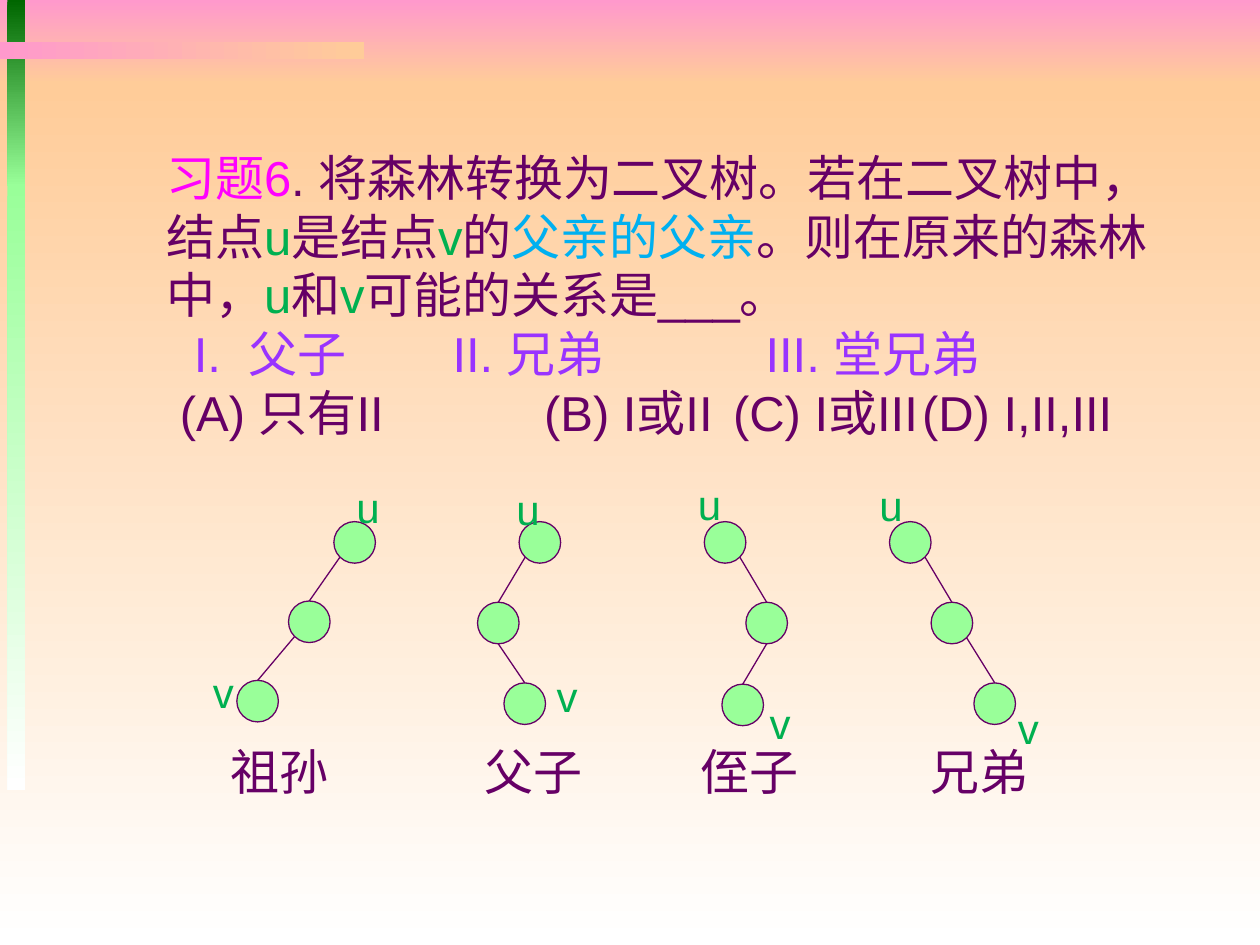
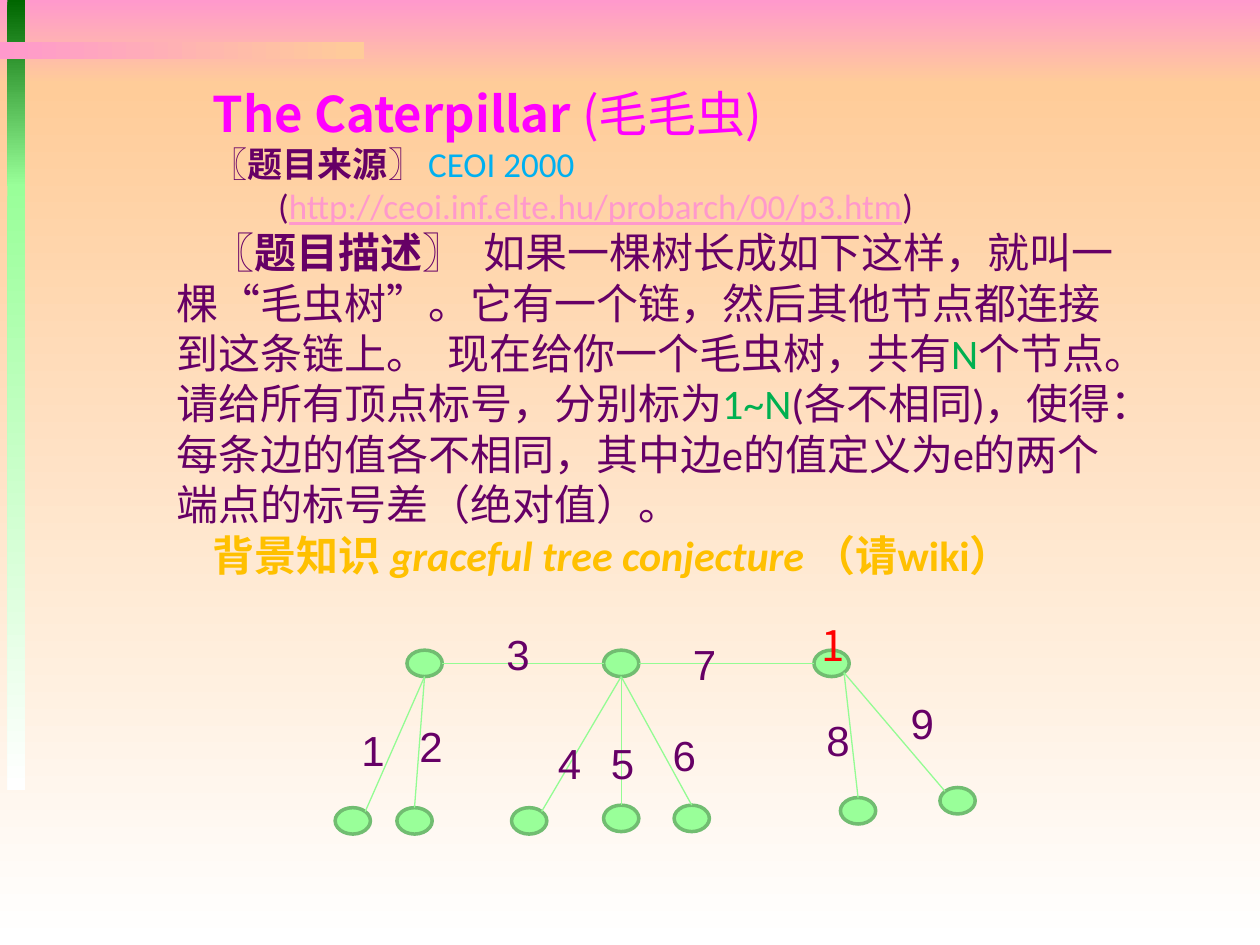
"""Builds two slides on trees: a forest-to-binary-tree exercise and the caterpillar problem."""
import pptx
import pptx.dml.color
import pptx.enum.shapes
import pptx.enum.text
import pptx.oxml.ns
import pptx.util
from lxml import etree

Inches, Pt, qn = pptx.util.Inches, pptx.util.Pt, pptx.oxml.ns.qn
MSO_SHAPE = pptx.enum.shapes.MSO_SHAPE
ANCHOR = pptx.enum.text.MSO_ANCHOR

PLUM, GREEN, MAGENTA, SKY = "660066", "00B050", "FF00FF", "00B0F0"
VIOLET, GOLD, RED, PINK, PEACH = "9933FF", "FFC000", "FF0000", "FF99CC", "FFCC99"
MINT, FOREST, WHITE, MOSS, PALE = "99FF99", "006600", "FFFFFF", "71BD71", "93FC93"
CJK = "Noto Sans CJK SC"

BANDS = [
    ((0, 0, 10, 0.67), PINK, PEACH, 270),
    ((0, 0.67, 10, 6.83), PEACH, WHITE, 270),
    ((0.06, 0, 0.14, 1.48), FOREST, MINT, 270),
    ((0.06, 1.46, 0.14, 4.81), MINT, WHITE, 270),
    ((0, 0.33, 2.89, 0.14), PINK, PEACH, 0),
]

# Each run is text, colour, style letters and extra letter spacing in points.
QUESTION = [
    {"runs": [("习题6", MAGENTA), (". 将森林转换为二叉树。若在二叉树中，结点", PLUM),
              ("u", GREEN), ("是结点", PLUM), ("v", GREEN), ("的", PLUM),
              ("父亲的父亲", SKY), ("。则在原来的森林中，", PLUM), ("u", GREEN),
              ("和", PLUM), ("v", GREEN), ("可能的关系是___。", PLUM)]},
    {"runs": [("I.", VIOLET), (" ", VIOLET, "", 7.8), ("父子", VIOLET),
              (" ", VIOLET, "", 54.5), ("II. 兄弟", VIOLET),
              (" ", VIOLET, "", 85.6), ("III. 堂兄弟", VIOLET)],
     "indent": 0.22},
    {"runs": [("(A) 只有II\t\t\t(B) I或II\t(C) I或III\t(D) I,II,III", PLUM)],
     "indent": 0.11},
]

NODE = 0.33
TREES = [
    {"nodes": [(2.65, 4.14), (2.29, 4.77), (1.88, 5.4)], "sites": ["bl", "bl"],
     "u": (2.73, 3.77), "v": (1.59, 5.24), "relation": ("祖孙", 1.73)},
    {"nodes": [(4.12, 4.14), (3.79, 4.78), (4, 5.42)], "sites": ["bl", "b"],
     "u": (4, 3.79), "v": (4.32, 5.27), "relation": ("父子", 3.75)},
    {"nodes": [(5.59, 4.14), (5.92, 4.78), (5.73, 5.43)], "sites": ["br", "b"],
     "u": (5.44, 3.75), "v": (6.01, 5.49), "relation": ("侄子", 5.46)},
    {"nodes": [(7.06, 4.14), (7.39, 4.78), (7.73, 5.42)], "sites": ["br", "br"],
     "u": (6.88, 3.76), "v": (7.98, 5.53), "relation": ("兄弟", 7.29)},
]

PROBLEM = [
    {"runs": [("The Caterpillar", MAGENTA, "b"), (" (毛毛虫)", MAGENTA)],
     "size": 28, "font": CJK, "spacing": 40.5},
    {"runs": [("〖", PLUM), ("题目来源", PLUM, "b"), ("〗\t", PLUM), ("CEOI 2000", SKY)],
     "size": 20},
    {"runs": [("(", PLUM), ("http://ceoi.inf.elte.hu/probarch/00/p3.htm", PINK, "u"),
              (")", PLUM)],
     "size": 20, "indent": 0.81},
    {"runs": [("〖", PLUM), ("题目描述", PLUM, "b"), ("〗", PLUM), (" ", PLUM, "", 5.4),
              ("如果一棵树长成如下这样，就叫一棵“毛虫树”。它有一个链，"
               "然后其他节点都连接到这条链上。", PLUM),
              (" ", PLUM, "", 5.4), ("现在给你一个毛虫树，共有", PLUM),
              ("N", GREEN), ("个节点。请给所有顶点标号，分别标为", PLUM), ("1~N", GREEN),
              ("(各不相同)，使得：每条边的值各不相同，其中边e的值定义为e的"
               "两个端点的标号差（绝对值）。", PLUM)]},
    {"runs": [("背景知识 ", GOLD, "b"), ("graceful tree conjecture ", GOLD, "bi"),
              ("（请wiki）", GOLD, "b")]},
]

CHAIN_TOP = 5.16
CHAIN = [3.23, 4.79, 6.46]
LEGS = [
    (0, "b", (2.66, 6.41), "tr"),
    (0, "b", (3.15, 6.41), "t"),
    (1, "b", (4.06, 6.41), "tr"),
    (1, "b", (4.79, 6.39), "t"),
    (1, "b", (5.35, 6.39), "t"),
    (2, "br", (6.67, 6.33), "t"),
    (2, "br", (7.46, 6.25), "tl"),
]
EDGE_VALUES = [(2.77, 5.7), (3.23, 5.67), (3.92, 4.94), (4.33, 5.8), (4.75, 5.8),
               (5.24, 5.74), (5.4, 5.02), (6.46, 5.62), (7.13, 5.49)]


def rgb(value):
    return pptx.dml.color.RGBColor.from_string(value)


def add_preset(slide, kind, box):
    sp = slide.shapes.add_shape(kind, *map(Inches, box))
    sp.shadow.inherit = False
    return sp


def add_band(slide, box, start, end, angle):
    sp = add_preset(slide, MSO_SHAPE.RECTANGLE, box)
    sp.line.fill.background()
    sp.fill.gradient()
    sp.fill.gradient_angle = angle
    for stop, color, position in zip(sp.fill.gradient_stops, (start, end), (0, 1)):
        stop.color.rgb = rgb(color)
        stop.position = position


def add_node(slide, box, line, width):
    sp = add_preset(slide, MSO_SHAPE.OVAL, box)
    sp.fill.solid()
    sp.fill.fore_color.rgb = rgb(MINT)
    sp.line.color.rgb = rgb(line)
    sp.line.width = Pt(width)


def site_point(box, site):
    left, top, width, height = box
    reach = 0.5 if len(site) == 1 else 0.5 * 0.5 ** 0.5
    dx = ("r" in site) - ("l" in site)
    dy = ("b" in site) - ("t" in site)
    return left + width * (0.5 + reach * dx), top + height * (0.5 + reach * dy)


def add_edge(slide, box, site, end_box, end_site, color):
    points = site_point(box, site) + site_point(end_box, end_site)
    straight = pptx.enum.shapes.MSO_CONNECTOR.STRAIGHT
    line = slide.shapes.add_connector(straight, *map(Inches, points))
    line.line.color.rgb = rgb(color)
    line.line.width = Pt(0.75)
    etree.SubElement(line._element.spPr, qn("a:effectLst"))


def add_run(p, font, size, text, color, style="", gap=0):
    r = p.add_run()
    r.text = text
    r.font.size = Pt(size)
    r.font.name = font
    r.font.color.rgb = rgb(color)
    r.font.bold = "b" in style
    r.font.italic = "i" in style
    r.font.underline = "u" in style
    rPr = r._r.get_or_add_rPr()
    etree.SubElement(rPr, qn("a:ea"), typeface=CJK)
    if gap:
        rPr.set("spc", str(round(gap * 100)))


def add_text(slide, box, paragraphs, size, font="Arial", indent=0, anchor=ANCHOR.TOP):
    tf = slide.shapes.add_textbox(*map(Inches, box)).text_frame
    tf.word_wrap = True
    tf.vertical_anchor = anchor
    for i, item in enumerate(paragraphs):
        p = tf.paragraphs[0] if i == 0 else tf.add_paragraph()
        points = item.get("size", size)
        p.line_spacing = Pt(item.get("spacing", points * 1.2))
        pPr = p._p.get_or_add_pPr()
        pPr.set("marL", "0")
        pPr.set("indent", str(Inches(item.get("indent", indent))))
        for run in item["runs"]:
            add_run(p, item.get("font", font), points, *run)


def add_label(slide, box, text, color, size=24, font="Arial"):
    add_text(slide, box, [{"runs": [(text, color)]}], size, font)


def add_slide(prs):
    slide = prs.slides.add_slide(prs.slide_layouts[6])
    for band in BANDS:
        add_band(slide, *band)
    return slide


def build_exercise(prs):
    slide = add_slide(prs)
    add_text(slide, (1.22, 1.12, 8.22, 2.46), QUESTION, 28)
    for tree in TREES:
        boxes = [(*corner, NODE, NODE) for corner in tree["nodes"]]
        for box in boxes:
            add_node(slide, box, PLUM, 0.75)
        for parent, child, site in zip(boxes, boxes[1:], tree["sites"]):
            add_edge(slide, parent, site, child, "t", PLUM)
        for name in "uv":
            add_label(slide, (*tree[name], 0.91, 0.5), name, GREEN)
        relation, left = tree["relation"]
        add_label(slide, (left, 5.84, 1.45, 0.57), relation, PLUM, 28)


def build_caterpillar(prs):
    slide = add_slide(prs)
    add_text(slide, (1.3, 0.55, 7.64, 4.07), PROBLEM, 24, "Calibri", 0.29, ANCHOR.MIDDLE)
    oval = (0.28, 0.21)
    hubs = [(left, CHAIN_TOP, *oval) for left in CHAIN]
    leaves = [(*corner, *oval) for _, _, corner, _ in LEGS]
    for box in hubs + leaves:
        add_node(slide, box, MOSS, 2)
    for (hub, site, _, leaf_site), leaf in zip(LEGS, leaves):
        add_edge(slide, hubs[hub], site, leaf, leaf_site, PALE)
    for left_hub, right_hub in zip(hubs, hubs[1:]):
        add_edge(slide, left_hub, "r", right_hub, "l", PALE)
    for value, corner in enumerate(EDGE_VALUES, 1):
        add_label(slide, (*corner, 0.6, 0.58), str(value), PLUM)
    add_label(slide, (6.42, 4.87, 0.6, 0.58), "1", RED, font=CJK)


def main():
    prs = pptx.Presentation()
    prs.slide_width, prs.slide_height = Inches(10), Inches(7.5)
    build_exercise(prs)
    build_caterpillar(prs)
    prs.save("out.pptx")


if __name__ == "__main__":
    main()
